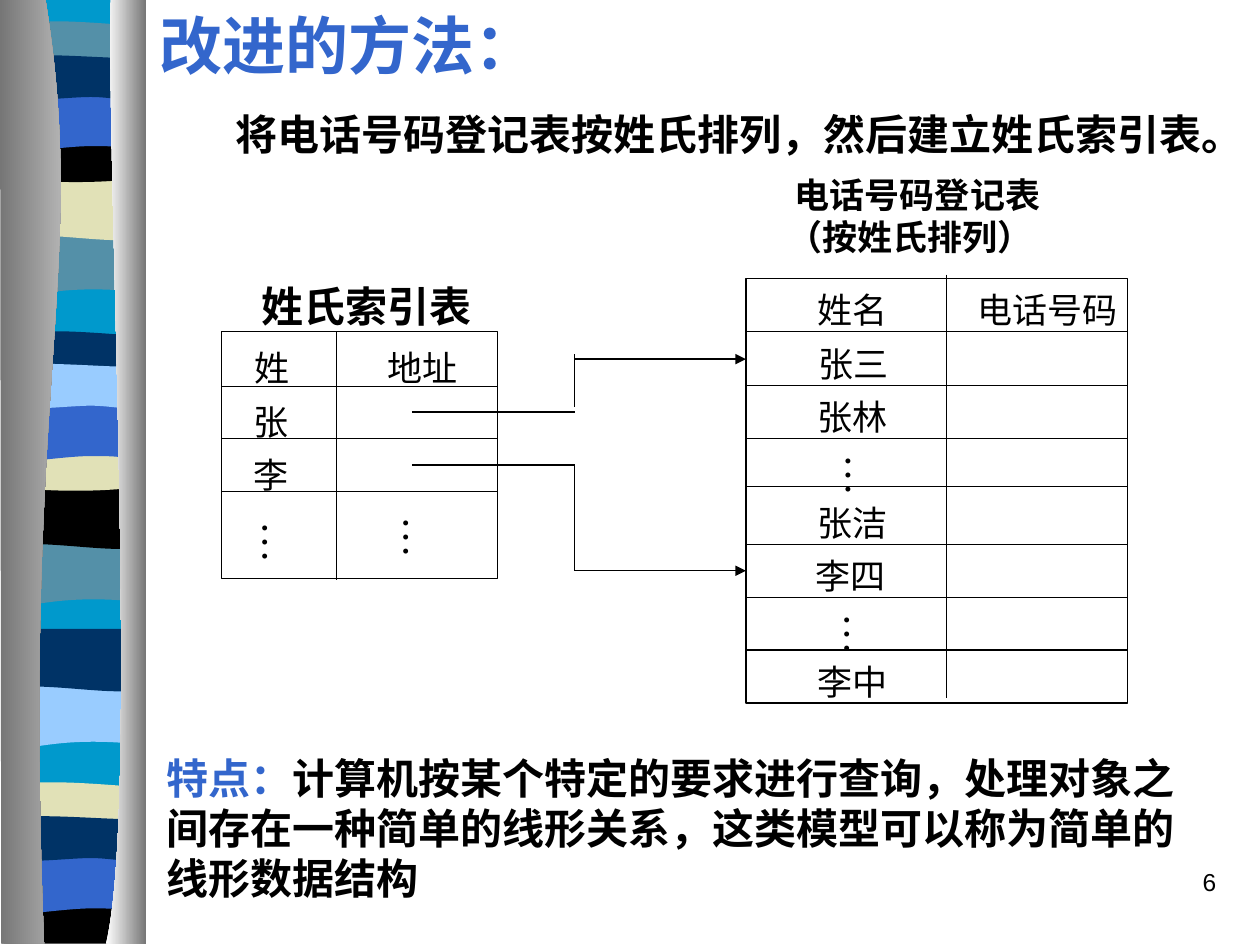
from dataclasses import dataclass
from typing import NamedTuple

from lxml.etree import SubElement
from pptx import Presentation
from pptx.dml.color import RGBColor
from pptx.enum.shapes import MSO_CONNECTOR, MSO_SHAPE
from pptx.enum.text import MSO_AUTO_SIZE, PP_ALIGN
from pptx.oxml.ns import qn
from pptx.util import Emu, Inches, Pt

COLORS = {
    "cyan": "0099CC", "teal": "5490A8", "sand": "E1E1B7", "black": "000000",
    "blue": "3366CC", "navy": "003366", "sky": "99CCFF", "gray": "767676",
    "silver": "CFCFCF", "white": "FFFFFF",
}
ROMAN = "Times New Roman"


class Band(NamedTuple):
    color: str
    top: float
    form: str


class Run(NamedTuple):
    text: str
    color: str = "black"


class Para(NamedTuple):
    runs: list[Run]
    size: int
    bold: bool = True
    indent: float = 0
    before: float = 0
    align: PP_ALIGN = PP_ALIGN.LEFT


@dataclass
class Box:
    left: float
    top: float
    width: float
    height: float
    paras: list[Para]
    font: str = ROMAN
    grow: bool = True
    upright: bool = False


class Grid(NamedTuple):
    left: float
    top: float
    width: float
    height: float
    rules: list[float]              # heights of the row lines
    split: tuple[float, float, float]  # column line: x, top, bottom


class Link(NamedTuple):
    start: tuple[float, float]
    end: tuple[float, float]
    arrow: bool = False


# The slide is a grid of 100 columns by 75 rows
def unit(n: float) -> Emu:
    return Inches(n / 10)


def rgb(name: str) -> RGBColor:
    return RGBColor.from_string(COLORS[name])


# Outlines: a pair is a corner, six numbers are a Bezier curve
LID = (6.6, 0.5, 8.5, 0, 10.8, 0)
FORMS = {
    "deep": [(10.8, 0), (10.8, 4.7), (3.3, 3.9, 1.8, 5.5, 0, 4.7), (0, 0)],
    "wave": [(10.8, 0), (10.8, 4.7), (9, 5.5, 3.3, 4.2, 0, 4.7), (0, 0)],
    "slim": [(10.8, 0.5), (10.8, 2.9), (9, 3.3, 1.8, 3.3, 0, 2.9), (0, 0.5),
             (0.6, 0, 2.3, 0.1, 4.1, 0.1), (5.9, 0.1, 9.4, 0.4, 10.8, 0.5)],
    "bowl": [(10.8, 0), (10.8, 3.2), (9, 3.8, 1.8, 3.8, 0, 3.2), (0, 0), LID],
    "arch": [(10.8, 0), (10.8, 4.7), (9.1, 4.2, 8.4, 4.2, 6.6, 4.2),
             (4.8, 4.2, 1.6, 4.7, 0, 4.7), (0, 0)],
    "drift": [(10.8, 0.5), (10.8, 3.6), (10.1, 4.1, 8.4, 3.6, 6.6, 3.6),
              (4.8, 3.6, 1.1, 4.1, 0, 3.6), (0, 0.5),
              (1.5, 0, 7.3, 0.5, 9.1, 0.5), (10.9, 0.5, 10.4, 0.5, 10.8, 0.5)],
    "base": [(10.8, 0), (10.8, 3.7), (0, 3.7), (0, 0), LID],
    "full": [(10.8, 0), (10.8, 74.8), (0, 74.8), (0, 0)],
    "left": [(3.6, 0), (7.1, 21.7, 1.7, 29.6, 3.5, 75), (0.1, 75), (0, 0)],
    "right": [(8.8, 0), (8.4, 12.6, 11.1, 64.7, 8.4, 75), (11.6, 75), (11.6, 0)],
}
BANDS = [
    Band("cyan", -0.1, "full"),
    Band("teal", 18.5, "deep"), Band("sand", 14.1, "wave"),
    Band("teal", 1.6, "slim"), Band("black", 10.8, "bowl"),
    Band("blue", 7.4, "arch"), Band("navy", 4.1, "drift"),
    Band("teal", 43.1, "deep"), Band("black", 38.6, "wave"),
    Band("navy", 26.2, "slim"), Band("sand", 35.3, "bowl"),
    Band("blue", 32, "arch"), Band("sky", 28.6, "drift"),
    Band("sky", 54.4, "deep"), Band("navy", 49.9, "wave"),
    Band("sand", 62, "slim"), Band("black", 71.2, "base"),
    Band("blue", 67.9, "arch"), Band("navy", 64.5, "drift"),
]

GRIDS = [
    Grid(59.2, 22.1, 30.3, 33.7, [26.3, 30.6, 34.8, 38.6, 43.2, 47.4, 51.6],
         (75.1, 21.8, 55.4)),
    Grid(17.6, 26.3, 21.9, 19.6, [30.7, 34.8, 39], (26.7, 26.3, 46)),
]
LINKS = [
    Link((32.7, 32.7), (45.6, 32.7)), Link((45.6, 32.3), (45.6, 28.1)),
    Link((45.6, 28.5), (59.2, 28.5), True),
    Link((32.7, 36.9), (45.6, 36.9)), Link((45.6, 36.9), (45.6, 45.3)),
    Link((45.6, 45.3), (59.2, 45.3), True),
]


def label(text: str, left: float, top: float, width: float = 11.4,
          indent: float = 2.4) -> Box:
    return Box(left, top, width, 4.4, [Para([Run(text)], 20, False, indent)])


def dots(left: float, top: float) -> Box:
    return Box(left, top, 6, 3.5, [Para([Run("…")], 24, False)], upright=True)


BOXES = [
    # Index table
    label("姓", 16.8, 27), label("地址", 27.4, 27),
    label("张", 16.7, 31.3, 9.1), label("李", 16.7, 35.5, 9.1),
    dots(18.7, 40.4), dots(29.9, 40),
    # Phone table
    label("姓名", 61.5, 22.4), label("电话号码", 76.6, 22.4, 15.9, 0),
    label("张三", 61.6, 26.7), label("张林", 61.5, 30.9), dots(65, 35.1),
    label("张洁", 61.5, 39.3), label("李四", 60.7, 43.5, 12.9, 3),
    dots(64.9, 47.7), label("李中", 61.5, 51.9),
    # Captions, title and notes
    Box(61.5, 13.3, 25, 7.7,
        [Para([Run("电话号码登记表（按姓氏排列）")], 20, indent=0.6)]),
    Box(19.1, 21.8, 19.7, 5, [Para([Run("姓氏索引表")], 24, indent=0.7)]),
    Box(11.7, 0, 88.3, 13.1, [
        Para([Run("改进的方法：", "blue")], 36),
        Para([Run("将电话号码登记表按姓氏排列，然后建立姓氏索引表。")], 24,
             indent=6, before=15)]),
    Box(12.2, 59.2, 83.5, 13, [Para([
        Run("特点：", "blue"),
        Run("计算机按某个特定的要求进行查询，处理对象之间存在一种简单的线形关系，"
            "这类模型可以称为简单的线形数据结构")], 24)], "Arial"),
    Box(76.7, 68.3, 20.8, 5,
        [Para([Run("6")], 14, False, align=PP_ALIGN.RIGHT)], "Arial", False),
]


def draw_form(shapes, form: str, left: float, top: float, tones: list[str]) -> None:
    segs = FORMS[form]
    first, *rest = [(unit(x + left), unit(y + top))
                    for seg in segs for x, y in zip(seg[::2], seg[1::2])]
    pen = shapes.build_freeform(*first, scale=1.0)
    pen.add_line_segments(rest, close=True)
    shape = pen.convert_to_shape()
    # Join each run of three points into one curve
    steps = iter(list(shape._element.iter(qn("a:lnTo"))))
    for seg in segs[1:]:
        step = next(steps)
        if len(seg) == 6:
            step.tag = qn("a:cubicBezTo")
            for _ in range(2):
                extra = next(steps)
                step.append(extra[0])
                extra.getparent().remove(extra)
    shape.shadow.inherit = False
    shape.line.fill.background()
    if len(tones) == 1:
        shape.fill.solid()
        shape.fill.fore_color.rgb = rgb(tones[0])
        return
    shape.fill.gradient()
    shape.fill.gradient_angle = 0
    for stop, tone in zip(shape.fill.gradient_stops, tones):
        stop.color.rgb = rgb(tone)


def draw_link(shapes, link: Link) -> None:
    ends = [unit(n) for n in (*link.start, *link.end)]
    line = shapes.add_connector(MSO_CONNECTOR.STRAIGHT, *ends)
    line.line.color.rgb = rgb("black")
    line.line.width = Pt(0.75)
    if link.arrow:
        SubElement(line.line._get_or_add_ln(), qn("a:tailEnd"), type="triangle")
    SubElement(line._element.spPr, qn("a:effectLst"))


def draw_grid(shapes, grid: Grid) -> None:
    area = [unit(n) for n in grid[:4]]
    frame = shapes.add_shape(MSO_SHAPE.RECTANGLE, *area)
    frame.shadow.inherit = False
    frame.fill.solid()
    frame.fill.fore_color.rgb = rgb("white")
    frame.line.color.rgb = rgb("black")
    frame.line.width = Pt(0.75)
    for y in grid.rules:
        draw_link(shapes, Link((grid.left, y), (grid.left + grid.width, y)))
    x, top, bottom = grid.split
    draw_link(shapes, Link((x, top), (x, bottom)))


def draw_box(shapes, box: Box) -> None:
    area = [unit(n) for n in (box.left, box.top, box.width, box.height)]
    frame = shapes.add_textbox(*area).text_frame
    frame.word_wrap = True
    if box.grow:
        frame.auto_size = MSO_AUTO_SIZE.SHAPE_TO_FIT_TEXT
    if box.upright:
        frame._txBody.bodyPr.set("vert", "eaVert")
        frame.margin_left = frame.margin_right = unit(0.5)
        frame.margin_top = frame.margin_bottom = unit(1)
    for i, item in enumerate(box.paras):
        para = frame.add_paragraph() if i else frame.paragraphs[0]
        para.alignment, para.space_before = item.align, Pt(item.before)
        para.font.name, para.font.size = box.font, Pt(item.size)
        para.font.bold = item.bold
        if item.indent:
            para._p.get_or_add_pPr().set("indent", str(unit(item.indent)))
        for part in item.runs:
            run = para.add_run()
            run.text = part.text
            run.font.color.rgb = rgb(part.color)


def main() -> None:
    deck = Presentation()
    deck.slide_width, deck.slide_height = unit(100), unit(75)
    shapes = deck.slides.add_slide(deck.slide_layouts[6]).shapes
    # Ribbon between two metal edges
    for band in BANDS:
        draw_form(shapes, band.form, 0.6, band.top, [band.color])
    draw_form(shapes, "left", 0, -0.1, ["gray", "silver"])
    draw_form(shapes, "right", 0, -0.1, ["white", "gray"])
    # Index and phone tables, joined by arrows
    for grid in GRIDS:
        draw_grid(shapes, grid)
    for link in LINKS:
        draw_link(shapes, link)
    for box in BOXES:
        draw_box(shapes, box)
    deck.save("out.pptx")


if __name__ == "__main__":
    main()
